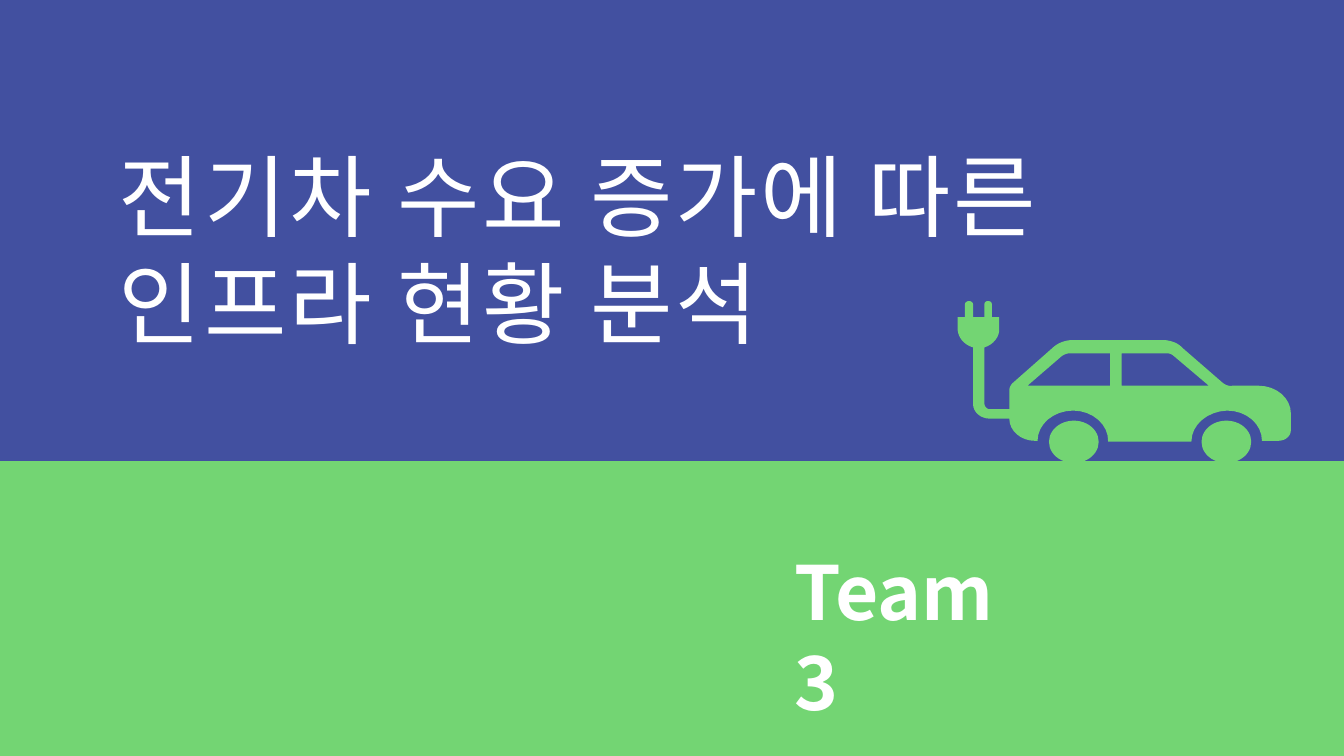
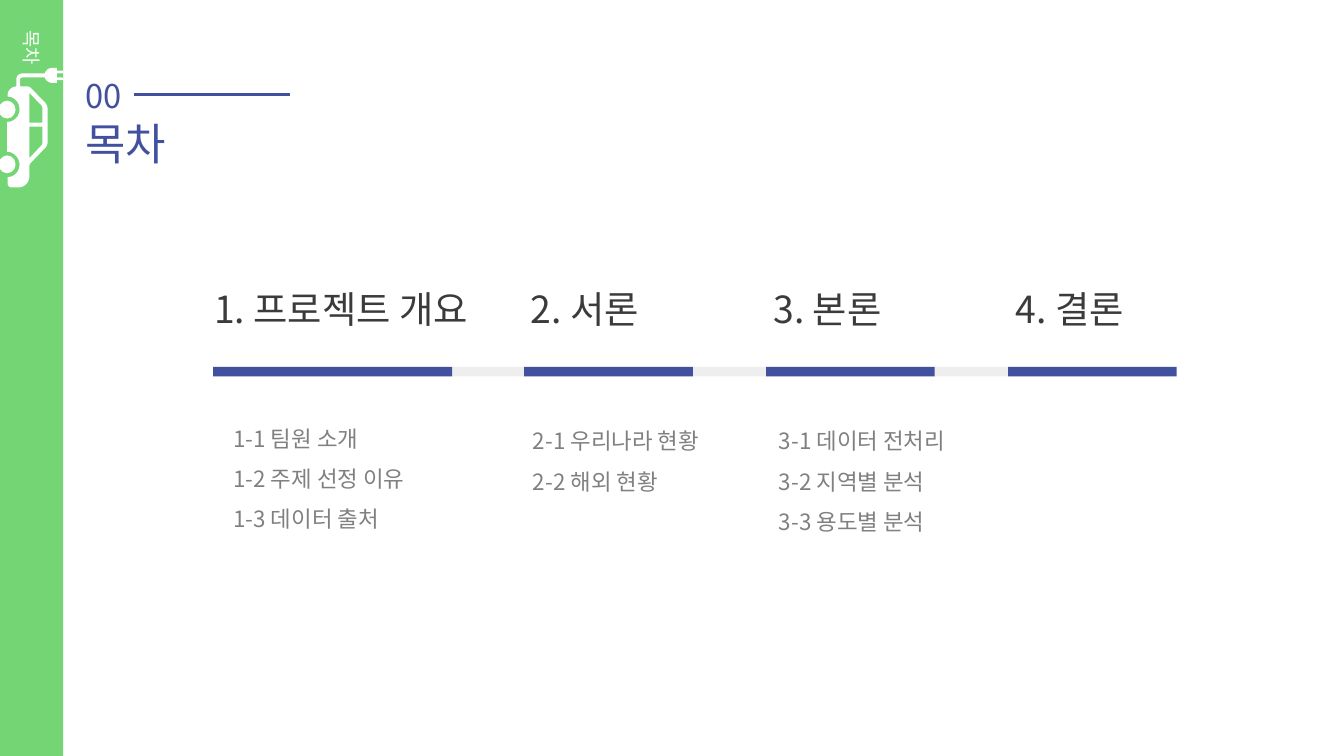
"""Build the title and contents slides of a report on electric car charging."""
from lxml import etree
from pptx import Presentation
from pptx.dml.color import RGBColor
from pptx.enum.shapes import MSO_CONNECTOR, MSO_SHAPE
from pptx.enum.text import MSO_ANCHOR, MSO_AUTO_SIZE, PP_ALIGN
from pptx.oxml.ns import qn
from pptx.util import Inches, Pt

RECT, OVAL = MSO_SHAPE.RECTANGLE, MSO_SHAPE.OVAL
LINE = MSO_CONNECTOR.STRAIGHT
TOP, MIDDLE = MSO_ANCHOR.TOP, MSO_ANCHOR.MIDDLE
LEFT, FIXED = PP_ALIGN.LEFT, MSO_AUTO_SIZE.NONE

WIDE, HIGH = 20, 11.25
FONT = "Noto Sans CJK KR"
COLORS = {"blue": "4250A0", "green": "73D573", "white": "FFFFFF",
          "pale": "EEEEEE", "dark": "3B3B3B", "gray": "808080"}

COVER = ["전기차 수요 증가에 따른", "인프라 현황 분석"]
TEAM = ["Team 3"]
NUMBER, TOPIC = "00", "목차"
PARTS = [
    ("1. 프로젝트 개요", ["1-1 팀원 소개", "1-2 주제 선정 이유", "1-3 데이터 출처"]),
    ("2. 서론", ["2-1 우리나라 현황", "2-2 해외 현황"]),
    ("3. 본론", ["3-1 데이터 전처리", "3-2 지역별 분석", "3-3 용도별 분석"]),
    ("4. 결론", []),
]

# Car outlines in hundredths: pairs are corners, sixes are curves.
BODY = [
    (448, 126), (409, 126), (404, 127, 399, 125, 395, 122), (335, 70),
    (329, 63, 319, 59, 308, 58), (169, 58), (158, 59, 148, 63, 141, 70),
    (82, 122), (79, 125, 77, 129, 77, 133), (77, 161), (48, 161),
    (44, 161, 40, 157, 40, 153), (40, 69), (53, 65, 63, 53, 62, 41),
    (62, 24), (51, 24), (51, 5), (51, 2, 49, 0, 45, 0),
    (42, 0, 40, 2, 40, 5), (40, 24), (23, 24), (23, 5),
    (23, 2, 20, 0, 17, 0), (14, 0, 11, 2, 11, 5), (11, 24), (0, 24),
    (0, 41), (0, 53, 9, 65, 23, 69), (23, 153),
    (23, 165, 34, 175, 48, 175), (77, 175), (77, 193, 94, 208, 115, 208),
    (119, 208), (119, 183, 143, 163, 172, 163),
    (201, 163, 225, 184, 224, 209), (348, 209),
    (348, 184, 372, 164, 401, 163), (430, 163, 453, 183, 453, 208),
    (477, 208), (488, 208, 496, 201, 496, 192), (496, 167),
    (496, 145, 475, 126, 448, 126),
]
REAR = [(227, 126), (104, 126), (155, 82), (159, 79, 165, 77, 170, 78), (227, 78)]
FRONT = [(244, 126), (244, 78), (309, 78), (314, 77, 319, 79, 322, 82), (374, 126)]
WHEELS = [136, 363]
CAR_W, CAR_H = 496, 241
STEPS = 8


def color(name):
    return RGBColor.from_string(COLORS[name])


def paint(shape, name):
    shape.shadow.inherit = False
    shape.fill.solid()
    shape.fill.fore_color.rgb = color(name)
    shape.line.fill.background()
    return shape


def bar(slide, box, name):
    return paint(slide.shapes.add_shape(RECT, *map(Inches, box)), name)


def write(shape, lines, size, name, bold=False, space=1, track=0, inset=0):
    frame = shape.text_frame
    frame.text = "\n".join(lines)
    frame.word_wrap = True
    frame.auto_size = FIXED
    for para in frame.paragraphs:
        props = para._p.get_or_add_pPr()
        props.set("marL", str(Inches(inset)))
        props.set("indent", "0")
        etree.SubElement(props, qn("a:buNone"))
        para.alignment = LEFT
        para.line_spacing = space
        para.space_before = Pt(0)
        for run in para.runs:
            font = run.font
            font.size, font.bold, font.name = Pt(size), bold, FONT
            font.color.rgb = color(name)
            look = run._r.get_or_add_rPr()
            etree.SubElement(look, qn("a:ea")).set("typeface", FONT)
            look.set("kern", "0")
            if track:
                look.set("spc", str(track * 100))


def place(shape, box, lines, size, name, **style):
    shape.left, shape.top, shape.width, shape.height = map(Inches, box)
    write(shape, lines, size, name, **style)
    shape.text_frame.vertical_anchor = TOP


def label(slide, box, *args, **style):
    place(slide.shapes.add_textbox(0, 0, 0, 0), box, *args, **style)


def trace(path):
    """Turn corners and curves into a list of points."""
    dots = [path[0]]
    for step in path[1:]:
        if len(step) == 2:
            dots.append(step)
            continue
        nodes = [dots[-1], step[:2], step[2:4], step[4:]]
        for i in range(1, STEPS + 1):
            t = i / STEPS
            mix = ((1 - t) ** 3, 3 * t * (1 - t) ** 2, 3 * t * t * (1 - t), t ** 3)
            dots.append(tuple(sum(m * n[k] for m, n in zip(mix, nodes))
                              for k in (0, 1)))
    return dots


def car(slide, box, name, turn=0):
    left, top, width, height = map(Inches, box)
    across, down = width / CAR_W, height / CAR_H
    parts = [slide.shapes.add_shape(
        OVAL, round(left + x * across), round(top + 178 * down),
        round(74 * across), round(63 * down)) for x in WHEELS]
    pen = None
    for path in (BODY, REAR, FRONT):
        dots = [(left + x * across, top + y * down) for x, y in trace(path)]
        if pen is None:
            pen = slide.shapes.build_freeform(*dots[0])
        else:
            pen.move_to(*dots[0])
        pen.add_line_segments(dots[1:], close=True)
    parts.append(pen.convert_to_shape())
    for part in parts:
        paint(part, name)
    slide.shapes.add_group_shape(parts).rotation = turn


def start(deck, layout, back):
    slide = deck.slides.add_slide(deck.slide_layouts[layout])
    fill = slide.background.fill
    fill.solid()
    fill.fore_color.rgb = color(back)
    return slide


def cover(deck):
    slide = start(deck, 0, "blue")
    title, team = slide.placeholders
    ground = bar(slide, (-0.42, 6.88, 20.83, 4.74), "green")
    ground.line.color.rgb = color("green")
    ground.line.width = Pt(2)
    title._element.addprevious(ground._element)
    place(title, (1.67, 2.04, 20.55, 3.33), COVER, 96, "white", track=3)
    place(team, (11.73, 8.08, 3.88, 2.79), TEAM, 80, "white", bold=True)
    car(slide, (14.25, 4.48, 4.96, 2.41), "green")


def contents(deck):
    slide = start(deck, 4, "white")
    title, *slots = slide.placeholders
    place(title, (1.17, 1.68, 5.5, 0.89), [TOPIC], 47, "blue")
    label(slide, (1.17, 1.08, 2.18, 0.69), [NUMBER], 35, "blue")
    rule = slide.shapes.add_connector(LINE, *map(Inches, (1.99, 1.41, 4.31, 1.41)))
    rule.line.color.rgb = color("blue")
    rule.line.width = Pt(3)
    etree.SubElement(rule._element.spPr, qn("a:effectLst"))

    side = bar(slide, (0, -0.21, 0.94, 11.83), "green")
    write(side, [TOPIC], 20, "white", inset=0.56)
    side.text_frame.vertical_anchor = MIDDLE
    side.text_frame._txBody.bodyPr.set("vert", "vert")
    car(slide, (-0.43, 1.42, 1.78, 0.96), "white", turn=90)

    bar(slide, (3.18, 5.46, 14.24, 0.14), "pale")
    for i, ((head, items), slot) in enumerate(zip(PARTS, slots)):
        x = 4.2 + 3.6 * i if i else 3.17
        wide = 2.51 if i else 3.56
        bar(slide, (x, 5.46, wide, 0.14), "blue")
        label(slide, (4.19 + 3.61 * i if i else 3.09, 4.21, 2.45 if i else 6.04, 0.77),
              [head], 40, "dark")
        if items:
            box = (4.17 + 3.66 * i if i else 3.37, 6.11 if i else 6.07, 3.56, 1.87)
            place(slot, box, items, 24, "gray", space=1.5)
        else:
            slot._element.getparent().remove(slot._element)


def main():
    deck = Presentation()
    deck.slide_width, deck.slide_height = Inches(WIDE), Inches(HIGH)
    cover(deck)
    contents(deck)
    deck.save("out.pptx")


if __name__ == "__main__":
    main()
